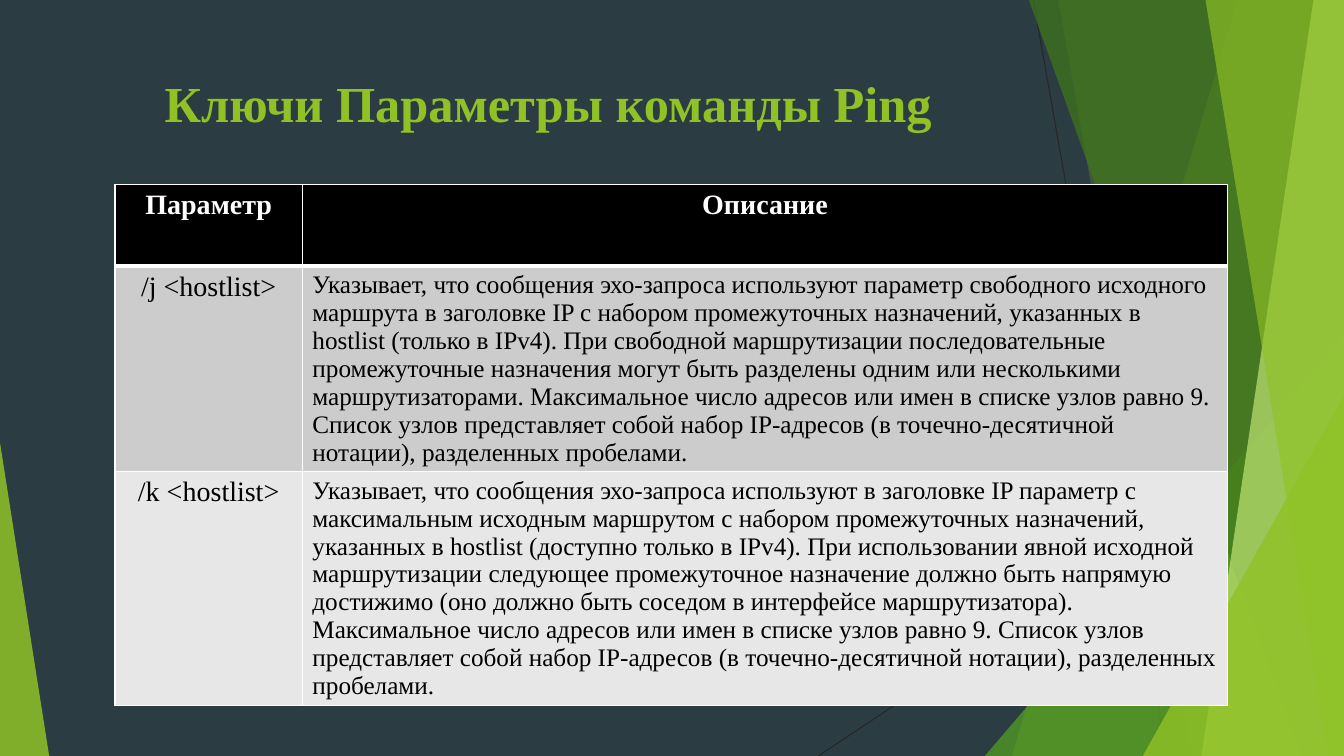
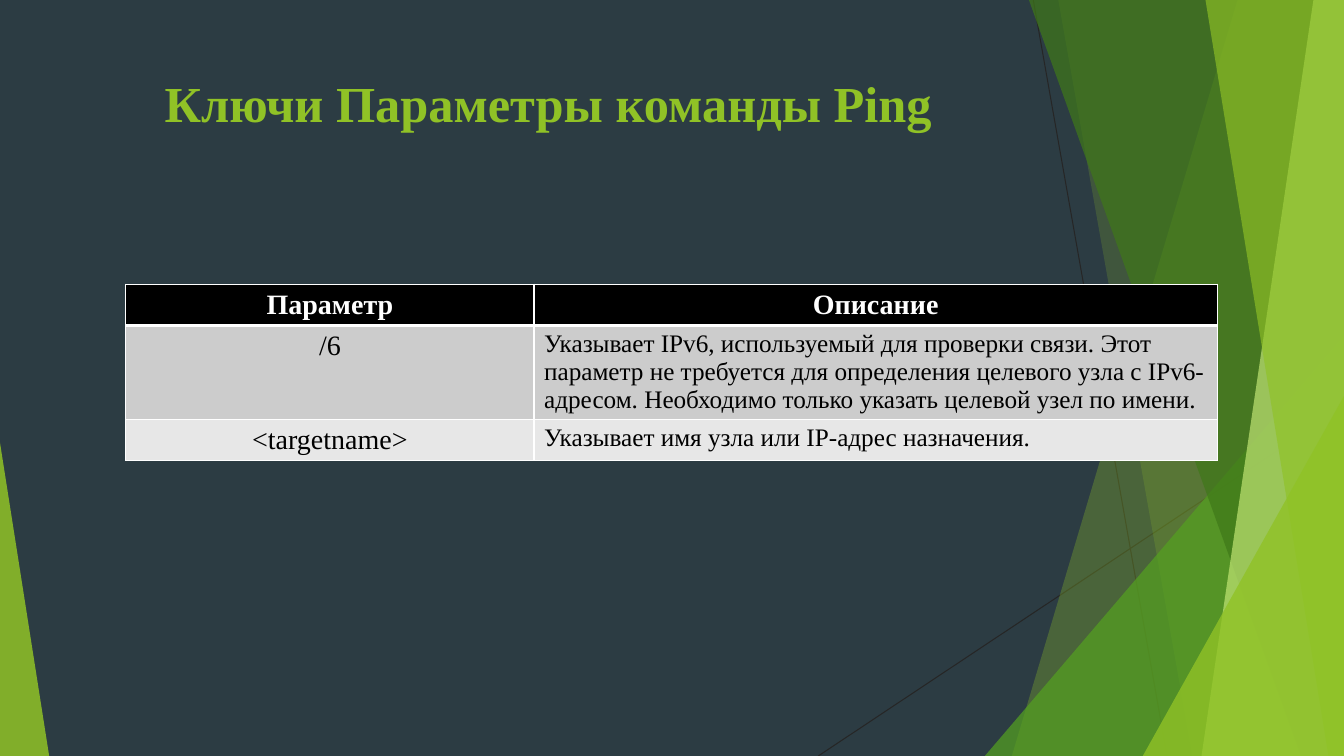
"""Build two slides that tabulate the keys of the ping command."""
from dataclasses import dataclass

from lxml import etree
from pptx import Presentation
from pptx.dml.color import RGBColor
from pptx.enum.shapes import MSO_CONNECTOR, MSO_SHAPE
from pptx.enum.text import MSO_ANCHOR, PP_ALIGN
from pptx.oxml.ns import qn
from pptx.util import Cm, Pt

STRAIGHT = MSO_CONNECTOR.STRAIGHT
TRIANGLE = MSO_SHAPE.ISOSCELES_TRIANGLE
TOP = MSO_ANCHOR.TOP
LEFT, CENTER = PP_ALIGN.LEFT, PP_ALIGN.CENTER
TITLE_ONLY = 5
WIDTH, HEIGHT = 33.87, 19.05


@dataclass(frozen=True)
class Theme:
    font: str = "Times New Roman"
    background: str = "2C3C43"
    lime: str = "90C226"
    green: str = "54A021"
    forest: str = "3F7819"
    pale: str = "C0E474"
    hairline: str = "262626"
    white: str = "FFFFFF"
    black: str = "000000"
    bands: tuple = ("CCCCCC", "E7E7E7")
    title_size: int = 36
    key_size: int = 20
    text_size: int = 18
    hairline_width: float = 0.75
    border: int = 1
    header_border: int = 3


T = Theme()

TITLE = "Ключи Параметры команды Ping"
TITLE_BOX = (1.88, 1.7, 23.88, 3.66)
HEADER = ("Параметр", "Описание")

SLIDES = [
    {
        "at": (2.9, 4.65),
        "cols": (4.72, 23.32),
        "heights": (2.06, 5.16, 5.9),
        "rows": [
            ("/j <hostlist>",
             "Указывает, что сообщения эхо-запроса используют параметр свободного исходного "
             "маршрута в заголовке IP с набором промежуточных назначений, указанных "
             "в hostlist (только в IPv4). При свободной маршрутизации последовательные "
             "промежуточные назначения могут быть разделены одним или несколькими "
             "маршрутизаторами. Максимальное число адресов или имен в списке узлов равно 9. "
             "Список узлов представляет собой набор IP-адресов (в точечно-десятичной "
             "нотации), разделенных пробелами."),
            ("/k <hostlist>",
             "Указывает, что сообщения эхо-запроса используют в заголовке IP параметр "
             "с максимальным исходным маршрутом с набором промежуточных назначений, "
             "указанных в hostlist (доступно только в IPv4). При использовании явной исходной "
             "маршрутизации следующее промежуточное назначение должно быть напрямую "
             "достижимо (оно должно быть соседом в интерфейсе маршрутизатора). "
             "Максимальное число адресов или имен в списке узлов равно 9. Список узлов "
             "представляет собой набор IP-адресов (в точечно-десятичной нотации), разделенных "
             "пробелами."),
        ],
    },
    {
        "at": (3.17, 7.16),
        "cols": (10.29, 17.22),
        "heights": (1.04, 2.36, 1.04),
        "rows": [
            ("/6",
             "Указывает IPv6, используемый для проверки связи. Этот параметр не требуется "
             "для определения целевого узла с IPv6-адресом. Необходимо только указать "
             "целевой узел по имени."),
            ("<targetname>", "Указывает имя узла или IP-адрес назначения."),
        ],
    },
]

HAIRLINES = [(26.04, 0, 29.41, HEIGHT), (WIDTH, 10.24, 20.62, HEIGHT)]

FACETS = [
    ("band", (31.19, 25.5), T.lime, 30),
    ("band", (26.67, 30.05), T.lime, 20),
    ("right", (24.82, 8.46), T.green, 72),
    ("band", (25.93, 32.79), T.forest, 70),
    ("band", (33.1, 30.28), T.pale, 70),
    ("band", (30.38, 33.48), T.lime, 65),
    ("right", (28.8, 9.98), T.lime, 80),
    ("left", (1.24, 11.15), T.lime, 85),
]


def rgb(value):
    return RGBColor.from_string(value)


def add_hairline(shapes, ends):
    s = shapes.add_connector(STRAIGHT, *map(Cm, ends))
    s.line.color.rgb = rgb(T.hairline)
    s.line.width = Pt(T.hairline_width)
    etree.SubElement(s.element.spPr, qn("a:effectLst"))


def add_band(shapes, top_x, bottom_x):
    fb = shapes.build_freeform(Cm(top_x), 0)
    corners = [(WIDTH, 0), (WIDTH, HEIGHT), (bottom_x, HEIGHT)]
    fb.add_line_segments([(Cm(x), Cm(y)) for x, y in corners], close=True)
    return fb.convert_to_shape()


def add_triangle(shapes, side, x, y):
    left, width = (0, x) if side == "left" else (x, WIDTH - x)
    s = shapes.add_shape(TRIANGLE, Cm(left), Cm(y), Cm(width), Cm(HEIGHT - y))
    s.adjustments[0] = 0 if side == "left" else 1
    return s


def add_facet(shapes, kind, points, color, opacity):
    if kind == "band":
        s = add_band(shapes, *points)
    else:
        s = add_triangle(shapes, kind, *points)
    s.shadow.inherit = False
    s.fill.solid()
    s.fill.fore_color.rgb = rgb(color)
    s.line.fill.background()
    clr = s.element.spPr.find(".//" + qn("a:srgbClr"))
    etree.SubElement(clr, qn("a:alpha"), val=str(opacity * 1000))


def style_layout(layout):
    layout.background.fill.solid()
    layout.background.fill.fore_color.rgb = rgb(T.background)
    for ph in list(layout.placeholders):
        if ph.placeholder_format.idx:
            ph.element.getparent().remove(ph.element)
        else:
            ph.left, ph.top, ph.width, ph.height = map(Cm, TITLE_BOX)


def move_decor_to_layout(slide, layout):
    for ends in HAIRLINES:
        add_hairline(slide.shapes, ends)
    for facet in FACETS:
        add_facet(slide.shapes, *facet)
    decor = [s for s in slide.shapes if not s.is_placeholder]
    for i, s in enumerate(decor, start=2):
        layout.shapes.element.insert(i, s.element)


def style_paragraph(p, size, color, bold, align):
    p.alignment = align
    p.font.name = T.font
    p.font.size = Pt(size)
    p.font.bold = bold
    p.font.color.rgb = rgb(color)


def set_title(slide):
    tf = slide.shapes.title.text_frame
    tf.text = TITLE
    tf.word_wrap = True
    tf.vertical_anchor = TOP
    style_paragraph(tf.paragraphs[0], T.title_size, T.lime, True, CENTER)


def set_borders(cell, row):
    widths = {
        "a:lnL": T.border,
        "a:lnR": T.border,
        "a:lnT": T.header_border if row == 1 else T.border,
        "a:lnB": T.header_border if row == 0 else T.border,
    }
    tc_pr = cell._tc.get_or_add_tcPr()
    for i, (tag, width) in enumerate(widths.items()):
        ln = etree.Element(qn(tag), w=str(Pt(width)))
        fill = etree.SubElement(ln, qn("a:solidFill"))
        etree.SubElement(fill, qn("a:srgbClr"), val=T.white)
        tc_pr.insert(i, ln)


def fill_cell(cell, text, row, col):
    header = row == 0
    cell.text = text
    cell.fill.solid()
    cell.fill.fore_color.rgb = rgb(T.black if header else T.bands[(row - 1) % 2])
    described = col == 1 and not header
    style_paragraph(
        cell.text_frame.paragraphs[0],
        T.text_size if described else T.key_size,
        T.white if header else T.black,
        header,
        LEFT if described else CENTER,
    )
    set_borders(cell, row)


def add_key_table(slide, content):
    rows = [HEADER, *content["rows"]]
    cols, heights = content["cols"], content["heights"]
    frame = slide.shapes.add_table(
        len(rows), len(cols), *map(Cm, content["at"]), Cm(sum(cols)), Cm(sum(heights)))
    table = frame.table
    table.horz_banding = False
    for column, width in zip(table.columns, cols):
        column.width = Cm(width)
    for r, (texts, height) in enumerate(zip(rows, heights)):
        table.rows[r].height = Cm(height)
        for c, text in enumerate(texts):
            fill_cell(table.cell(r, c), text, r, c)


def main():
    prs = Presentation()
    prs.slide_width, prs.slide_height = Cm(WIDTH), Cm(HEIGHT)
    layout = prs.slide_layouts[TITLE_ONLY]
    style_layout(layout)
    slides = [prs.slides.add_slide(layout) for _ in SLIDES]
    move_decor_to_layout(slides[0], layout)
    for slide, content in zip(slides, SLIDES):
        set_title(slide)
        add_key_table(slide, content)
    prs.save("out.pptx")


if __name__ == "__main__":
    main()
